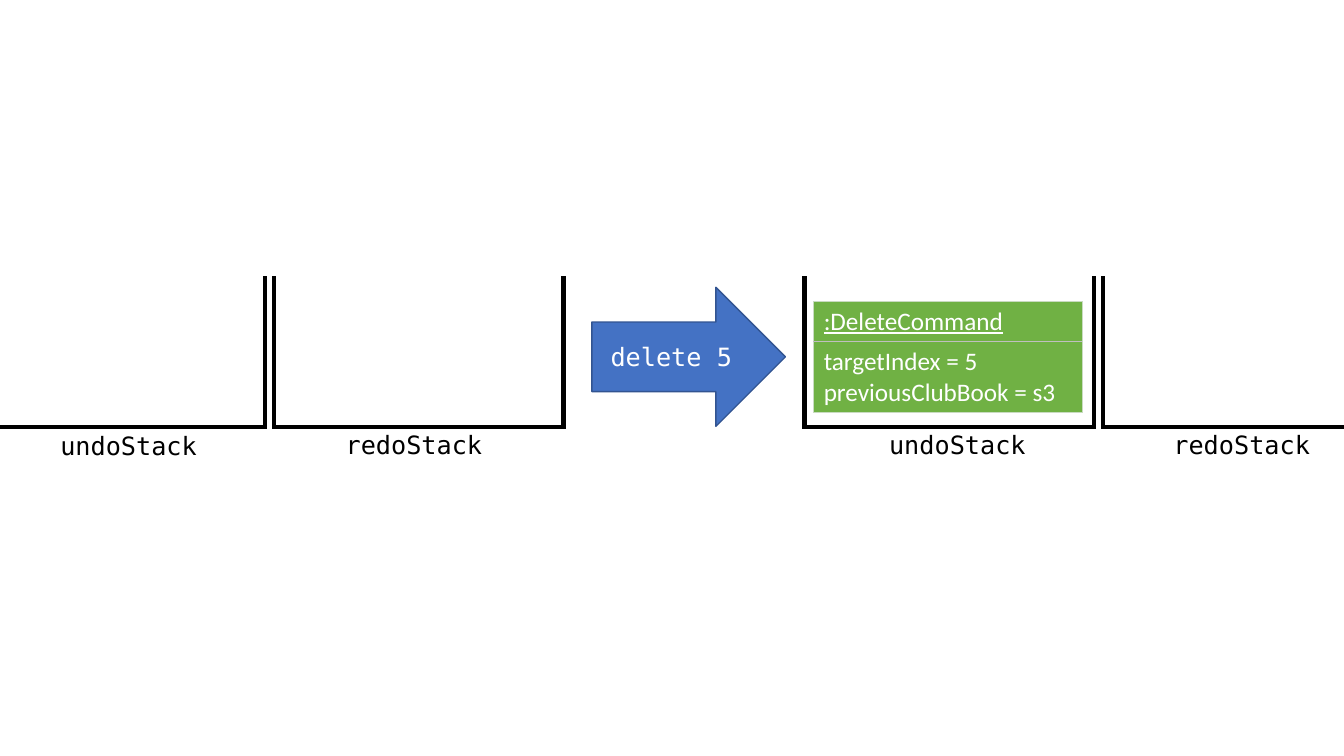
from dataclasses import dataclass

from lxml.etree import SubElement
from pptx import Presentation
from pptx.dml.color import RGBColor
from pptx.enum.shapes import MSO_SHAPE
from pptx.enum.text import MSO_ANCHOR, PP_ALIGN
from pptx.oxml.ns import qn
from pptx.util import Inches, Pt


@dataclass(frozen=True)
class Theme:
    black: str = "000000"
    white: str = "FFFFFF"
    arrow_fill: str = "4472C4"
    arrow_line: str = "325491"
    command_fill: str = "70B144"
    command_border: str = "C9DBC1"
    command_divider: str = "BFBFBF"
    body_font: str = "Calibri"
    code_font: str = "DejaVu Sans Mono"
    text_size: int = 18


def write_text(frame, text, *, font, size, color, align=PP_ALIGN.LEFT, underline=False):
    """Fill a text frame with one paragraph per line of text."""
    for index, line in enumerate(text.split("\n")):
        paragraph = frame.add_paragraph() if index else frame.paragraphs[0]
        paragraph.alignment = align
        run = paragraph.add_run()
        run.text = line
        run.font.name = font
        run.font.size = Pt(size)
        run.font.color.rgb = RGBColor.from_string(color)
        run.font.underline = underline


def set_cell_borders(cell, borders):
    """Draw borders given as {side: (color, points)}, with sides L, R, T and B in that order."""
    properties = cell._tc.get_or_add_tcPr()
    for position, (side, (color, points)) in enumerate(borders.items()):
        line = SubElement(properties, qn(f"a:ln{side}"), w=str(Pt(points)))
        fill = SubElement(line, qn("a:solidFill"))
        SubElement(fill, qn("a:srgbClr"), val=color)
        properties.insert(position, line)


class SlideBuilder:
    def __init__(self, slide, theme):
        self.slide = slide
        self.theme = theme

    def add_code(self, frame, text, color):
        frame.word_wrap = True
        write_text(frame, text, font=self.theme.code_font, size=self.theme.text_size,
                   color=color, align=PP_ALIGN.CENTER)

    def add_label(self, text, left, top):
        box = self.slide.shapes.add_textbox(
            Inches(left), Inches(top), Inches(2.69), Inches(0.4))
        self.add_code(box.text_frame, text, self.theme.black)

    def add_stack(self, left, top=2.74, width=2.87, height=1.5):
        """Outline a container that is open at the top."""
        right, bottom = left + width, top + height
        builder = self.slide.shapes.build_freeform(Inches(left), Inches(top))
        corners = [(left, bottom), (right, bottom), (right, top)]
        builder.add_line_segments([(Inches(x), Inches(y)) for x, y in corners], close=False)
        shape = builder.convert_to_shape()
        shape.shadow.inherit = False
        shape.fill.background()
        shape.line.color.rgb = RGBColor.from_string(self.theme.black)
        shape.line.width = Pt(3)
        outline = shape.element.spPr.find(qn("a:ln"))
        SubElement(outline, qn("a:miter"), lim="800000")

    def add_arrow(self, text, left, top, width, height):
        arrow = self.slide.shapes.add_shape(
            MSO_SHAPE.RIGHT_ARROW, Inches(left), Inches(top), Inches(width), Inches(height))
        arrow.shadow.inherit = False
        arrow.fill.solid()
        arrow.fill.fore_color.rgb = RGBColor.from_string(self.theme.arrow_fill)
        arrow.line.color.rgb = RGBColor.from_string(self.theme.arrow_line)
        arrow.line.width = Pt(1)
        arrow.text_frame.vertical_anchor = MSO_ANCHOR.MIDDLE
        self.add_code(arrow.text_frame, text, self.theme.white)

    def add_command(self, title, fields, left, top, width):
        """Draw an object box: an underlined title row above a row of fields."""
        theme = self.theme
        row_heights = (0.4, 0.7)
        table = self.slide.shapes.add_table(
            2, 1, Inches(left), Inches(top), Inches(width), Inches(sum(row_heights))).table
        table.first_row = False
        table.horz_banding = False
        edge = (theme.command_border, 0.5)
        divider = (theme.command_divider, 1)
        for index, text in enumerate((title, fields)):
            is_title = index == 0
            table.rows[index].height = Inches(row_heights[index])
            cell = table.cell(index, 0)
            cell.fill.solid()
            cell.fill.fore_color.rgb = RGBColor.from_string(theme.command_fill)
            set_cell_borders(cell, {
                "L": edge,
                "R": edge,
                "T": edge if is_title else divider,
                "B": divider if is_title else edge,
            })
            write_text(cell.text_frame, text, font=theme.body_font, size=theme.text_size,
                       color=theme.white, underline=is_title)


def main():
    presentation = Presentation()
    presentation.slide_width = Inches(13.33)
    presentation.slide_height = Inches(7.5)
    slide = presentation.slides.add_slide(presentation.slide_layouts[6])
    builder = SlideBuilder(slide, Theme())

    builder.add_label("undoStack", -0.07, 4.22)
    builder.add_label("redoStack", 2.76, 4.21)
    builder.add_arrow("delete 5", 5.87, 2.85, 1.92, 1.38)
    builder.add_label("undoStack", 8.15, 4.21)
    builder.add_label("redoStack", 10.97, 4.21)
    builder.add_command(":DeleteCommand", "targetIndex = 5\npreviousClubBook = s3",
                        8.07, 2.99, 2.66)

    stack_pitch = 2.96
    for undo_left in (7.98, -0.24):
        for column in range(2):
            builder.add_stack(undo_left + column * stack_pitch)

    presentation.save("out.pptx")


if __name__ == "__main__":
    main()
